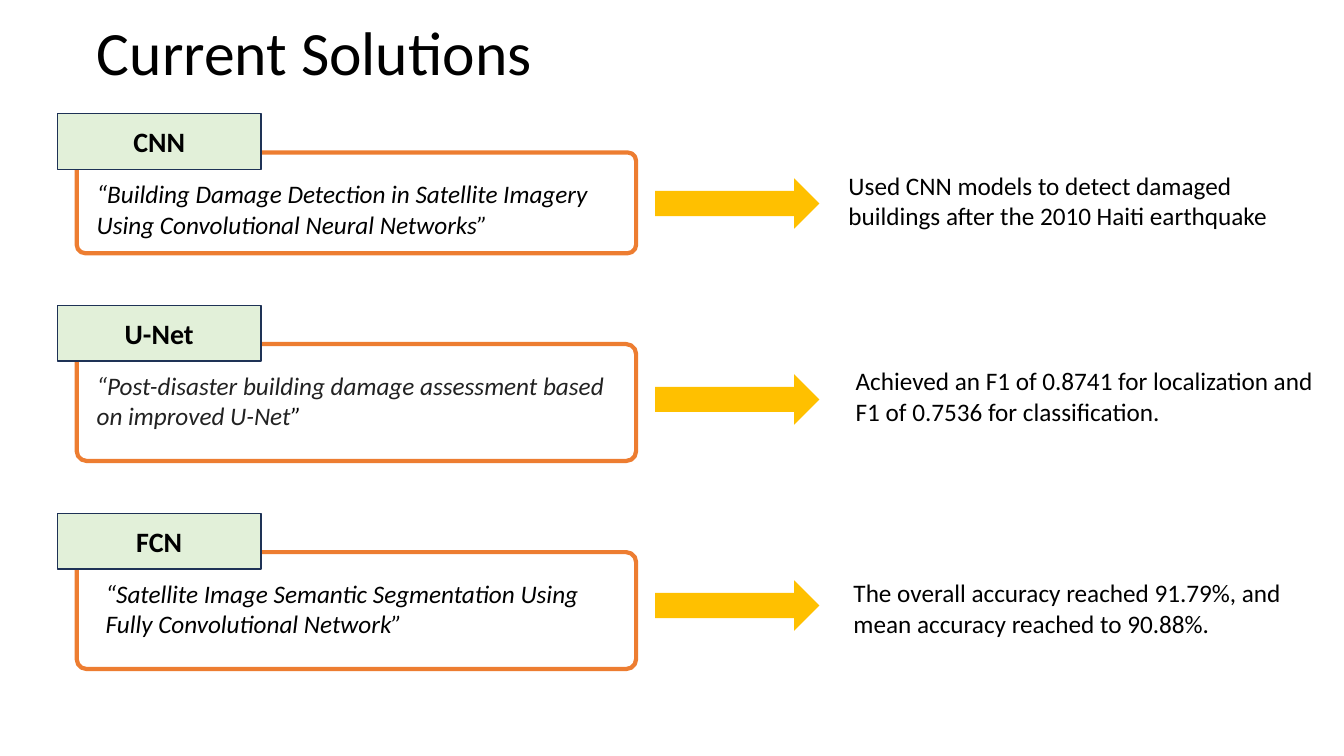
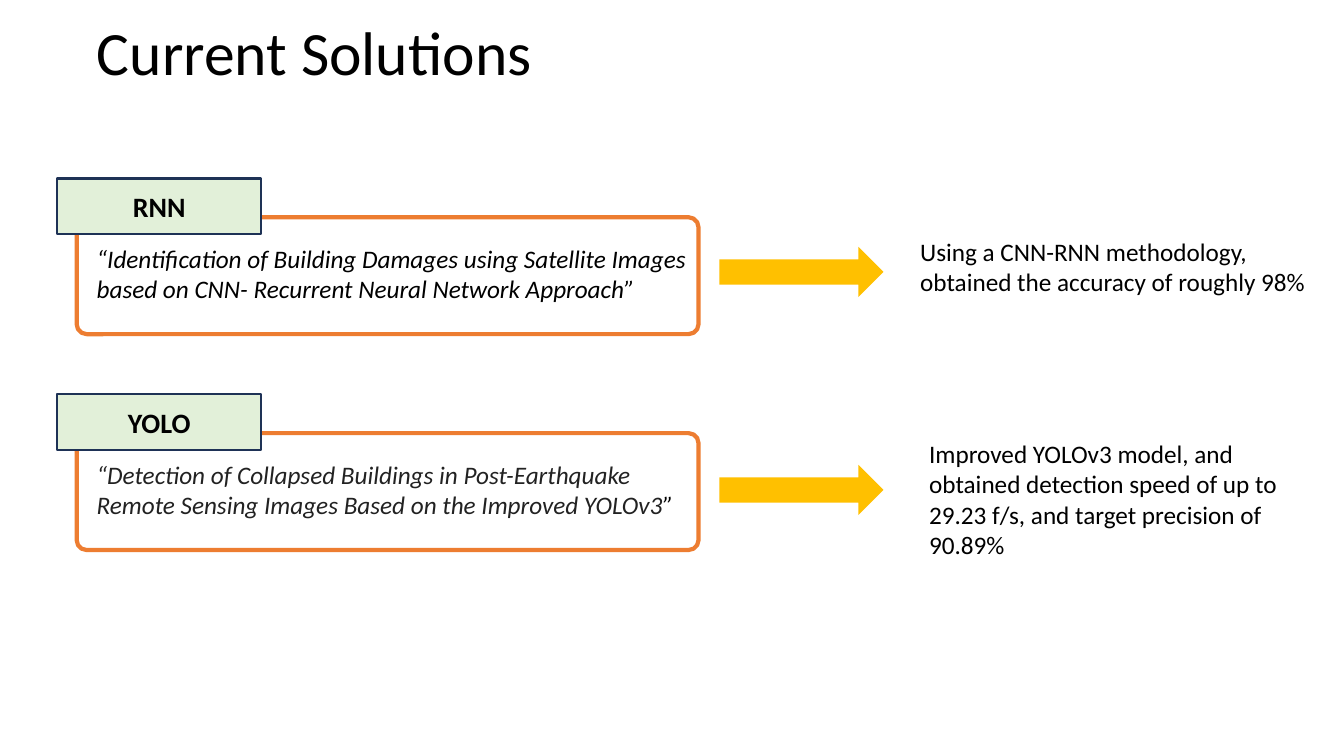
"""Builds two slides that compare current solutions for building damage detection."""
from dataclasses import dataclass
from typing import Optional

from pptx import Presentation
from pptx.dml.color import RGBColor
from pptx.enum import shapes, text
from pptx.util import Pt

COLORS = {
    "ink": "000000",
    "soft_ink": "222222",
    "card_line": "ED7D31",
    "tag_fill": "E2F0D9",
    "tag_line": "1E3256",
    "arrow": "FFC000",
}
FONT = "Calibri"
TAG_LEFT, TAG_WIDTH, TAG_HEIGHT = 41, 145.5, 39.8
CARD_LEFT, CARD_DROP = 54.8, 27.7
QUOTE_DROP = 42.9
ARROW_WIDTH, ARROW_HEIGHT = 117.3, 36
TEXT_HEIGHT = 51


@dataclass
class Solution:
    model: str
    paper: str
    finding: str
    top: float
    arrow_top: float
    finding_left: float
    finding_top: float
    finding_width: float
    card_height: float = 83.5
    quote_left: float = 62
    quote_color: str = "ink"
    finding_height: float = TEXT_HEIGHT


@dataclass
class Page:
    card_width: float
    quote_width: float
    arrow_left: float
    tag_line: float
    solutions: list[Solution]


PAGES = [
    Page(399.6, 383.8, 468, 1, [
        Solution("CNN",
                 "“Building Damage Detection in Satellite Imagery Using Convolutional Neural Networks",
                 "Used CNN models to detect damaged buildings after the 2010 Haiti earthquake",
                 81.2, 127.4, 599, 118, 351.4, card_height=72),
        Solution("U-Net",
                 "“Post-disaster building damage assessment based on improved U-Net",
                 "Achieved an F1 of 0.8741 for localization and F1 of 0.7536 for classification.",
                 218.1, 267.3, 604.1, 257.7, 342, quote_color="soft_ink"),
        Solution("FCN",
                 "“Satellite Image Semantic Segmentation Using Fully Convolutional Network",
                 "The overall accuracy reached 91.79%, and mean accuracy reached to 90.88%.",
                 366.7, 414.6, 602.6, 409, 352.8, quote_left=68.4),
    ]),
    Page(444.2, 444.2, 513.8, 1.5, [
        Solution("RNN",
                 "“Identification of Building Damages using Satellite Images based on CNN- "
                 "Recurrent Neural Network Approach",
                 "Using a CNN-RNN methodology, obtained the accuracy of roughly 98%",
                 127.5, 176.3, 650.2, 165, 302.4),
        Solution("YOLO",
                 "“Detection of Collapsed Buildings in Post-Earthquake Remote Sensing Images "
                 "Based on the Improved YOLOv3",
                 "Improved YOLOv3 model, and obtained detection speed of up to 29.23 f/s, "
                 "and target precision of 90.89%",
                 281.7, 332, 656.6, 309.6, 272.9,
                 quote_color="soft_ink", finding_height=94.3),
    ]),
]


def rgb(name: str) -> RGBColor:
    return RGBColor.from_string(COLORS[name])


def style(run, size: float, color: str = "ink", bold: bool = False, italic: bool = False) -> None:
    font = run.font
    font.name, font.size, font.bold, font.italic = FONT, Pt(size), bold, italic
    font.color.rgb = rgb(color)


def add_figure(slide, kind, left: float, top: float, width: float, height: float,
               fill: Optional[str] = None, line: Optional[str] = None, line_width: float = 1):
    figure = slide.shapes.add_shape(kind, Pt(left), Pt(top), Pt(width), Pt(height))
    figure.shadow.inherit = False
    if fill:
        figure.fill.solid()
        figure.fill.fore_color.rgb = rgb(fill)
    else:
        figure.fill.background()
    if line:
        figure.line.color.rgb = rgb(line)
        figure.line.width = Pt(line_width)
    else:
        figure.line.fill.background()
    return figure


def add_passage(slide, words: str, left: float, top: float, width: float,
                height: float = TEXT_HEIGHT, color: str = "ink", italic: bool = False):
    frame = slide.shapes.add_textbox(Pt(left), Pt(top), Pt(width), Pt(height)).text_frame
    frame.word_wrap = True
    frame.auto_size = text.MSO_AUTO_SIZE.SHAPE_TO_FIT_TEXT
    frame.text = words
    paragraph = frame.paragraphs[0]
    style(paragraph.runs[0], 18, color, italic=italic)
    return paragraph


def add_title(slide) -> None:
    title = slide.shapes.title
    title.left, title.top, title.width, title.height = Pt(62), Pt(-12.2), Pt(828), Pt(104.4)
    frame = title.text_frame
    frame.text = "Current Solutions"
    frame.word_wrap = True
    frame.auto_size = text.MSO_AUTO_SIZE.NONE
    frame.vertical_anchor = text.MSO_ANCHOR.MIDDLE
    heading = frame.paragraphs[0]
    heading.alignment = text.PP_ALIGN.LEFT
    heading.line_spacing = 0.9
    style(heading.runs[0], 44)


def add_solution(slide, page: Page, solution: Solution) -> None:
    kinds = shapes.MSO_SHAPE
    card = add_figure(slide, kinds.ROUNDED_RECTANGLE, CARD_LEFT, solution.top + CARD_DROP,
                      page.card_width, solution.card_height, line="card_line", line_width=3)
    card.adjustments[0] = 0.085

    tag = add_figure(slide, kinds.RECTANGLE, TAG_LEFT, solution.top, TAG_WIDTH, TAG_HEIGHT,
                     "tag_fill", "tag_line", page.tag_line)
    tag.text_frame.text = solution.model
    tag.text_frame.vertical_anchor = text.MSO_ANCHOR.MIDDLE
    model = tag.text_frame.paragraphs[0]
    model.alignment = text.PP_ALIGN.CENTER
    style(model.runs[0], 20, bold=True)

    quote = add_passage(slide, solution.paper, solution.quote_left, solution.top + QUOTE_DROP,
                        page.quote_width, color=solution.quote_color, italic=True)
    closing_mark = quote.add_run()
    closing_mark.text = "”"
    style(closing_mark, 18, italic=True)

    add_figure(slide, kinds.RIGHT_ARROW, page.arrow_left, solution.arrow_top,
               ARROW_WIDTH, ARROW_HEIGHT, "arrow")
    add_passage(slide, solution.finding, solution.finding_left, solution.finding_top,
                solution.finding_width, solution.finding_height)


def main() -> None:
    deck = Presentation()
    deck.slide_width, deck.slide_height = Pt(960), Pt(540)
    for page in PAGES:
        slide = deck.slides.add_slide(deck.slide_layouts[5])
        add_title(slide)
        for solution in page.solutions:
            add_solution(slide, page, solution)
    deck.save("out.pptx")


if __name__ == "__main__":
    main()
